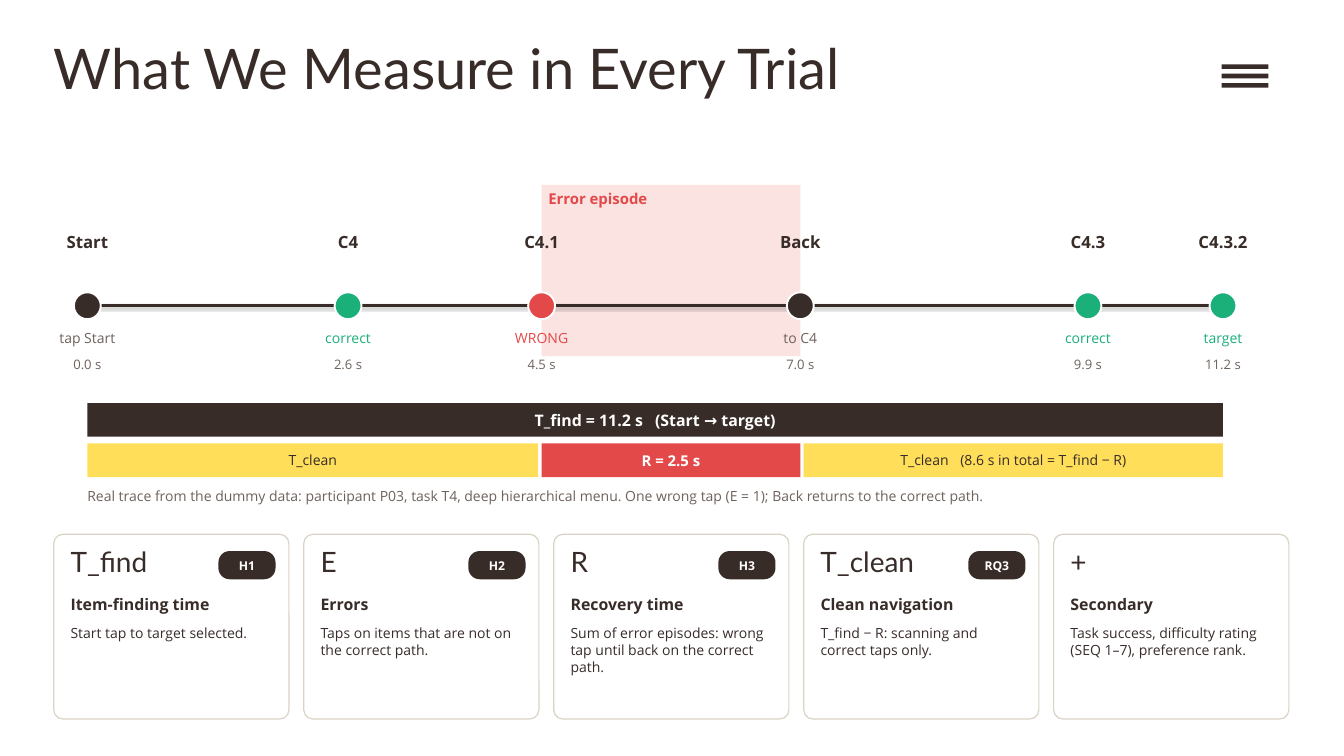
from pptx import Presentation
from pptx.dml.color import RGBColor
from pptx.enum.shapes import MSO_CONNECTOR, MSO_SHAPE
from pptx.enum.text import MSO_ANCHOR, MSO_AUTO_SIZE, PP_ALIGN
from pptx.util import Pt

DARK = RGBColor(0x38, 0x2C, 0x29)
GRAY = RGBColor(0x6E, 0x62, 0x5C)
GREEN = RGBColor(0x1B, 0xAF, 0x7A)
RED = RGBColor(0xE3, 0x49, 0x48)
PINK = RGBColor(0xFB, 0xE3, 0xE2)
YELLOW = RGBColor(0xFF, 0xDE, 0x59)
BORDER = RGBColor(0xD9, 0xD2, 0xC5)
WHITE = RGBColor(0xFF, 0xFF, 0xFF)

HEADING_FONT = "Lato"
BODY_FONT = "Open Sans"

LINE_Y = 327.6
DOT_SIZE = 28.8
BAR_HEIGHT = 36
SEGMENT_GAP = 3.6

# centre x, name, note, colour of the note, time, colour of the dot
EVENTS = [
    (93.6, "Start", "tap Start", GRAY, "0.0 s", DARK),
    (372.96, "C4", "correct", GREEN, "2.6 s", GREEN),
    (580.32, "C4.1", "WRONG", RED, "4.5 s", RED),
    (857.52, "Back", "to C4", GRAY, "7.0 s", DARK),
    (1165.68, "C4.3", "correct", GREEN, "9.9 s", GREEN),
    (1310.4, "C4.3.2", "target", GREEN, "11.2 s", GREEN),
]
START, ERROR, BACK, TARGET = (EVENTS[index][0] for index in (0, 2, 3, 5))

CARD_TOP, CARD_WIDTH, CARD_HEIGHT, CARD_PITCH = 572.4, 252, 198, 267.84
CARDS = [
    ("T_find", "H1", "Item-finding time", "Start tap to target selected."),
    ("E", "H2", "Errors", "Taps on items that are not on the correct path."),
    ("R", "H3", "Recovery time",
     "Sum of error episodes: wrong tap until back on the correct path."),
    ("T_clean", "RQ3", "Clean navigation",
     "T_find − R: scanning and correct taps only."),
    ("+", None, "Secondary",
     "Task success, difficulty rating (SEQ 1–7), preference rank."),
]


def points(*lengths):
    return [Pt(length) for length in lengths]


def set_attributes(target, values):
    for name, value in values.items():
        setattr(target, name, value)


def set_frame(frame, side=0, edge=0, **values):
    set_attributes(frame, {
        "margin_left": Pt(side), "margin_right": Pt(side),
        "margin_top": Pt(edge), "margin_bottom": Pt(edge),
        "word_wrap": True, **values,
    })


def add_span(para, text, size, color, bold=False, font=BODY_FONT):
    span = para.add_run()
    span.text = text
    set_attributes(span.font, {"name": font, "size": Pt(size), "bold": bold})
    span.font.color.rgb = color
    return span


def add_label(page, area, text, size, color=DARK, bold=False,
              font=BODY_FONT, align=PP_ALIGN.LEFT):
    box = page.shapes.add_textbox(*points(*area))
    set_frame(box.text_frame, auto_size=MSO_AUTO_SIZE.SHAPE_TO_FIT_TEXT)
    para = box.text_frame.paragraphs[0]
    set_attributes(para, {"alignment": align, "space_after": Pt(6)})
    add_span(para, text, size, color, bold, font)


def add_block(shapes, kind, area, fill, outline=None, width=0, rounding=None):
    block = shapes.add_shape(kind, *points(*area))
    block.shadow.inherit = False
    block.fill.solid()
    block.fill.fore_color.rgb = fill
    if outline is None:
        block.line.fill.background()
    else:
        block.line.color.rgb = outline
        block.line.width = Pt(width)
    if rounding is not None:
        block.adjustments[0] = rounding
    return block


def caption_block(block, text, size, color, bold=True, remark=None):
    """Centre text in a block; a remark follows after one widened space."""
    set_frame(block.text_frame, side=1.44, edge=4.32,
              vertical_anchor=MSO_ANCHOR.MIDDLE)
    para = block.text_frame.paragraphs[0]
    set_attributes(para, {"alignment": PP_ALIGN.CENTER, "space_after": Pt(2)})
    add_span(para, text, size, color, bold)
    if remark:
        gap = add_span(para, " ", size, color, bold)
        gap.font._element.set("spc", "850")
        add_span(para, remark, size, color, bold)


def add_title(page, text):
    title = page.shapes.title
    set_attributes(title, dict(zip(("left", "top", "width", "height"),
                                   points(57.6, 36, 1188, 97.2))))
    set_frame(title.text_frame, vertical_anchor=MSO_ANCHOR.TOP,
              auto_size=MSO_AUTO_SIZE.SHAPE_TO_FIT_TEXT)
    para = title.text_frame.paragraphs[0]
    para.alignment = PP_ALIGN.LEFT
    add_span(para, text, 60, DARK, font=HEADING_FONT)


def add_menu_icon(page):
    icon = page.shapes.add_group_shape()
    for row in range(3):
        add_block(icon.shapes, MSO_SHAPE.RECTANGLE,
                  (1309, 69 + 10 * row, 50, 5), DARK)


def add_timeline(page):
    add_block(page.shapes, MSO_SHAPE.RECTANGLE,
              (ERROR, 198, BACK - ERROR, 183.6), PINK)
    add_label(page, (ERROR + 7.2, 203.04, 259.2, 36), "Error episode", 16,
              RED, bold=True)

    # The line keeps the soft shadow of the theme.
    line = page.shapes.add_connector(
        MSO_CONNECTOR.STRAIGHT, *points(START, LINE_Y, TARGET, LINE_Y))
    line.line.color.rgb = DARK
    line.line.width = Pt(3)

    for center, name, note, note_color, time, dot_color in EVENTS:
        add_block(page.shapes, MSO_SHAPE.OVAL,
                  (center - DOT_SIZE / 2, LINE_Y - DOT_SIZE / 2,
                   DOT_SIZE, DOT_SIZE), dot_color, WHITE, 2)
        for top, height, text, size, color, bold in (
                (248.4, 36, name, 18, DARK, True),
                (352.8, 28.8, note, 15, note_color, False),
                (381.6, 28.8, time, 14, GRAY, False)):
            add_label(page, (center - 72, top, 144, height), text, size,
                      color, bold, align=PP_ALIGN.CENTER)


def add_duration_bars(page):
    clean_end, clean_restart = ERROR - SEGMENT_GAP, BACK + SEGMENT_GAP
    for left, right, top, fill, text, remark, size, color, bold in (
            (START, TARGET, 432, DARK, "T_find = 11.2 s",
             "(Start → target)", 17, WHITE, True),
            (ERROR, BACK, 475.2, RED, "R = 2.5 s", None, 16, WHITE, True),
            (START, clean_end, 475.2, YELLOW, "T_clean", None,
             15, DARK, False),
            (clean_restart, TARGET, 475.2, YELLOW, "T_clean",
             "(8.6 s in total = T_find − R)", 15, DARK, False)):
        bar = add_block(page.shapes, MSO_SHAPE.RECTANGLE,
                        (left, top, right - left, BAR_HEIGHT), fill)
        caption_block(bar, text, size, color, bold, remark)
    add_label(page, (START, 522, 1224, 32.4),
              "Real trace from the dummy data: participant P03, task T4, "
              "deep hierarchical menu. One wrong tap (E = 1); Back returns "
              "to the correct path.", 15, GRAY)


def add_card(page, left, symbol, badge_text, name, definition):
    add_block(page.shapes, MSO_SHAPE.ROUNDED_RECTANGLE,
              (left, CARD_TOP, CARD_WIDTH, CARD_HEIGHT), WHITE, BORDER, 1.25,
              rounding=0.05)
    inner = left + 18
    add_label(page, (inner, 583.2, 165.6, 50.4), symbol, 30,
              font=HEADING_FONT)
    if badge_text:
        badge = add_block(page.shapes, MSO_SHAPE.ROUNDED_RECTANGLE,
                          (left + 176.4, 590.4, 61.2, 30.24), DARK,
                          rounding=0.4)
        caption_block(badge, badge_text, 13, WHITE)
    add_label(page, (inner, 637.2, 219.6, 32.4), name, 17, bold=True)
    add_label(page, (inner, 669.6, 219.6, 97.2), definition, 15)


def main():
    deck = Presentation()
    deck.slide_width, deck.slide_height = points(1440, 810)
    page = deck.slides.add_slide(deck.slide_layouts[5])
    add_title(page, "What We Measure in Every Trial")
    add_menu_icon(page)
    add_timeline(page)
    add_duration_bars(page)
    for index, card in enumerate(CARDS):
        add_card(page, 57.6 + index * CARD_PITCH, *card)
    deck.save("out.pptx")


if __name__ == "__main__":
    main()
